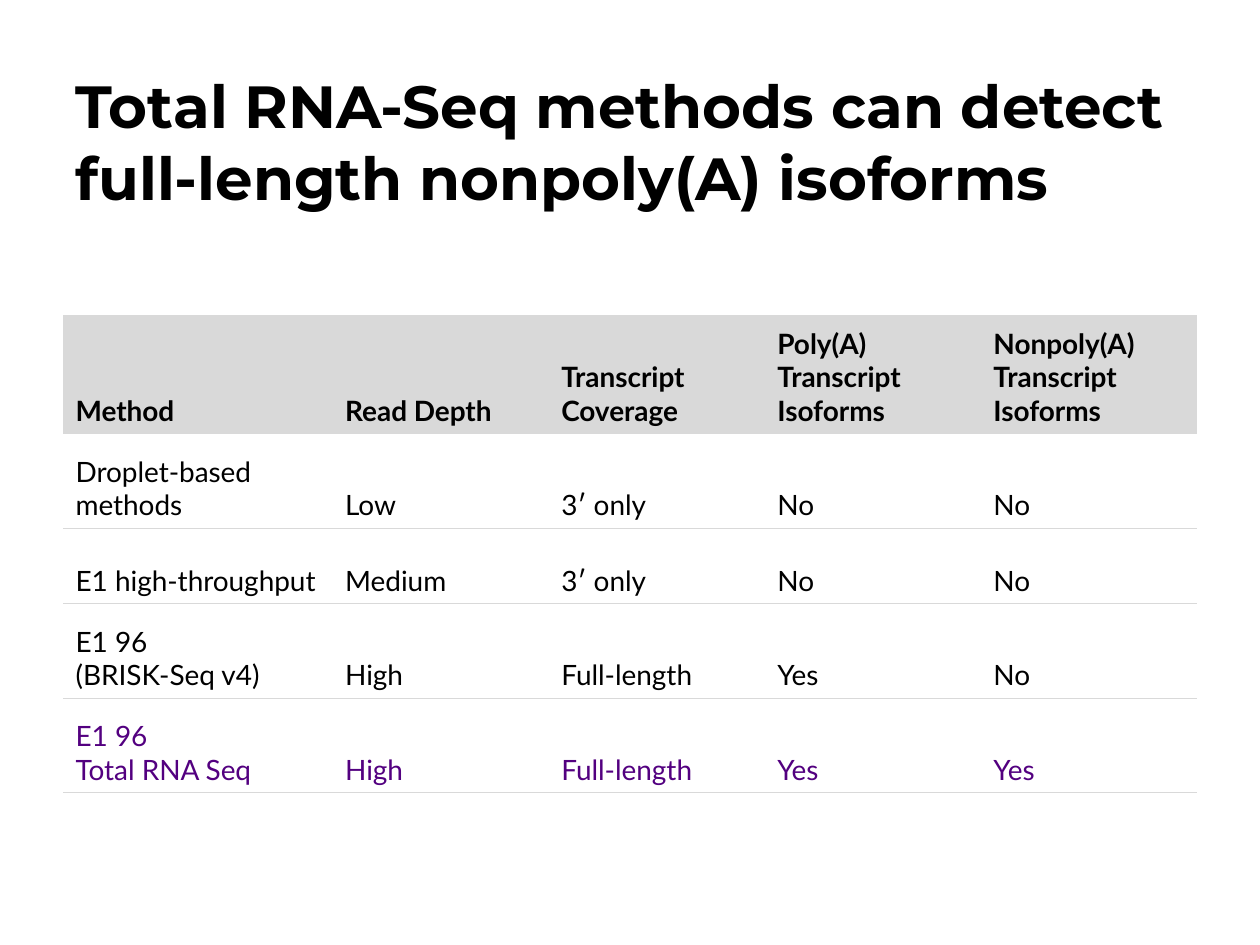
from pptx import Presentation
from pptx.dml.color import RGBColor
from pptx.enum.text import MSO_ANCHOR
from pptx.oxml import parse_xml
from pptx.oxml.ns import nsdecls
from pptx.util import Inches, Pt

BLACK = RGBColor(0x00, 0x00, 0x00)
WHITE = RGBColor(0xFF, 0xFF, 0xFF)
GREY = RGBColor(0xD9, 0xD9, 0xD9)
PURPLE = RGBColor(0x53, 0x00, 0x80)

TITLE = "Total RNA-Seq methods can detect full-length nonpoly(A) isoforms"
METHODS = [
    ["Method", "Read Depth", "Transcript Coverage",
     "Poly(A) Transcript Isoforms", "Nonpoly(A) Transcript Isoforms"],
    ["Droplet-based methods", "Low", "3′ only", "No", "No"],
    ["E1 high-throughput", "Medium", "3′ only", "No", "No"],
    ["E1 96\n(BRISK-Seq v4)", "High", "Full-length", "Yes", "No"],
    ["E1 96\nTotal RNA Seq", "High", "Full-length", "Yes", "Yes"],
]
ROW_HEIGHTS = [0.94, 0.75, 0.6, 0.75, 0.75]
FIRST_COLUMN = 2.14


def add_span(para, text, font, size, color, bold):
    span = para.add_run()
    span.text = text
    span.font.name = font
    span.font.size = Pt(size)
    span.font.bold = bold
    span.font.color.rgb = color


def set_borders(cell):
    """Thin grey lines above and below, none at the sides."""
    line = f'<a:solidFill><a:srgbClr val="{GREY}"/></a:solidFill>'
    sides = {"lnL": "<a:noFill/>", "lnR": "<a:noFill/>", "lnT": line, "lnB": line}
    properties = cell._tc.get_or_add_tcPr()
    for position, (side, paint) in enumerate(sides.items()):
        border = f'<a:{side} {nsdecls("a")} w="{Pt(0.5)}">{paint}</a:{side}>'
        properties.insert(position, parse_xml(border))


def add_title(page, left, top, width, height):
    box = page.shapes.add_textbox(Inches(left), Inches(top), Inches(width), Inches(height))
    frame = box.text_frame
    frame.word_wrap = True
    frame.vertical_anchor = MSO_ANCHOR.TOP
    add_span(frame.paragraphs[0], TITLE, "Montserrat", 34, BLACK, True)


def fill_cell(cell, text, fill, color, bold):
    cell.fill.solid()
    cell.fill.fore_color.rgb = fill
    set_borders(cell)
    cell.vertical_anchor = MSO_ANCHOR.BOTTOM
    frame = cell.text_frame
    for index, line in enumerate(text.split("\n")):
        para = frame.add_paragraph() if index else frame.paragraphs[0]
        add_span(para, line, "Lato", 16, color, bold)


def add_method_table(page, left, top, width, height):
    row_count, column_count = len(METHODS), len(METHODS[0])
    table = page.shapes.add_table(row_count, column_count, Inches(left), Inches(top),
                                  Inches(width), Inches(height)).table
    table.horz_banding = False

    # The method column is wider; the others share the rest
    other_column = (width - FIRST_COLUMN) / (column_count - 1)
    for index, column in enumerate(table.columns):
        column.width = Inches(other_column if index else FIRST_COLUMN)

    # Header in grey, last method in purple
    for index, (row, texts) in enumerate(zip(table.rows, METHODS)):
        row.height = Inches(ROW_HEIGHTS[index])
        header = index == 0
        fill = GREY if header else WHITE
        color = PURPLE if index == row_count - 1 else BLACK
        for cell, text in zip(row.cells, texts):
            fill_cell(cell, text, fill, color, header)


def main():
    deck = Presentation()
    deck.slide_width, deck.slide_height = Inches(10), Inches(7.5)
    page = deck.slides.add_slide(deck.slide_layouts[6])
    add_title(page, 0.5, 0.5, 9, 1)
    add_method_table(page, 0.5, 2.5, 9, sum(ROW_HEIGHTS))
    deck.save("out.pptx")


if __name__ == "__main__":
    main()
